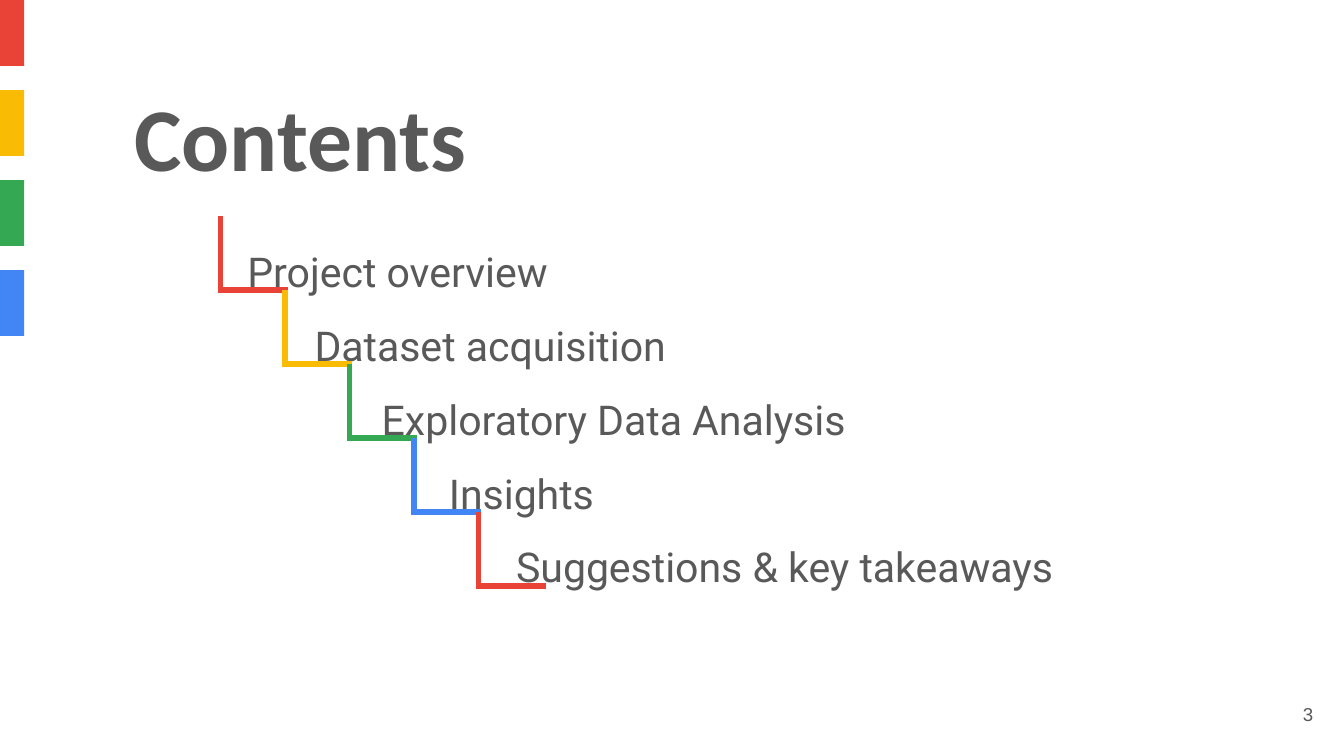
from typing import NamedTuple

from lxml import etree
from pptx import Presentation
from pptx.dml.color import RGBColor
from pptx.enum.shapes import MSO_CONNECTOR, MSO_SHAPE
from pptx.enum.text import MSO_ANCHOR, MSO_AUTO_SIZE, PP_ALIGN
from pptx.oxml.ns import qn
from pptx.util import Inches, Pt

LINE = MSO_CONNECTOR.STRAIGHT
RECT = MSO_SHAPE.RECTANGLE
LEFT, RIGHT = PP_ALIGN.LEFT, PP_ALIGN.RIGHT
TOP, MIDDLE = MSO_ANCHOR.TOP, MSO_ANCHOR.MIDDLE
NO_FIT = MSO_AUTO_SIZE.NONE

RED, YELLOW, GREEN, BLUE = "E94236", "FABB05", "34A853", "4285F4"
GRAY = "595959"


class Topic(NamedTuple):
    text: str
    color: str


TOPICS = [
    Topic("Project overview", RED),
    Topic("Dataset acquisition", YELLOW),
    Topic("Exploratory Data Analysis", GREEN),
    Topic("Insights", BLUE),
    Topic("Suggestions & key takeaways", RED),
]


def rgb(color: str) -> RGBColor:
    return RGBColor.from_string(color)


def set_box(shape, left: float, top: float, width: float, height: float, anchor) -> None:
    shape.left, shape.top = Inches(left), Inches(top)
    shape.width, shape.height = Inches(width), Inches(height)
    frame = shape.text_frame
    frame.word_wrap = True
    frame.auto_size = NO_FIT
    frame.vertical_anchor = anchor
    frame.margin_left = frame.margin_right = Inches(0.1)
    frame.margin_top = frame.margin_bottom = Inches(0.1)


def set_text(para, text: str, face: str, size: float, align, bold: bool = False) -> None:
    para.text = text
    para.alignment = align
    para.space_before = Pt(0)
    font = para.font
    font.name, font.size, font.bold = face, Pt(size), bold
    font.color.rgb = rgb(GRAY)


def add_bar(slide, top: float, color: str) -> None:
    bar = slide.shapes.add_shape(RECT, 0, Inches(top), Inches(0.18), Inches(0.49))
    bar.shadow.inherit = False
    bar.fill.solid()
    bar.fill.fore_color.rgb = rgb(color)
    bar.line.fill.background()


def add_line(group, x1: float, y1: float, x2: float, y2: float, color: str) -> None:
    line = group.shapes.add_connector(LINE, Inches(x1), Inches(y1), Inches(x2), Inches(y2))
    line.line.color.rgb = rgb(color)
    line.line.width = Pt(3)
    etree.SubElement(line._element.spPr, qn("a:effectLst"))


def add_step(group, left: float, top: float, color: str) -> None:
    base = top + 0.55
    add_line(group, left, top, left, base, color)
    add_line(group, left - 0.02, base, left + 0.5, base, color)


def main() -> None:
    # Widescreen page, 16 to 9
    deck = Presentation()
    deck.slide_width = Inches(10)
    deck.slide_height = Inches(10 * 9 / 16)
    slide = deck.slides.add_slide(deck.slide_layouts[1])
    title, body = slide.placeholders

    # Colour bars on the left edge
    for i, color in enumerate([RED, YELLOW, GREEN, BLUE]):
        add_bar(slide, 0.67 * i, color)

    # Title
    set_box(title, 0.9, 0.51, 8.76, 0.65, TOP)
    set_text(title.text_frame.paragraphs[0], "Contents", "Calibri", 48, LEFT, True)

    # Topics, each indented half an inch further
    set_box(body, 1.24, 1.55, 7.67, 3.44, TOP)
    frame = body.text_frame
    for i, topic in enumerate(TOPICS):
        para = frame.add_paragraph() if i else frame.paragraphs[0]
        props = para._p.get_or_add_pPr()
        props.set("marL", str(Inches(0.5 * (i + 1))))
        props.set("indent", "0")
        etree.SubElement(props, qn("a:buNone"))
        set_text(para, topic.text, "Roboto", 22, LEFT)
        para.line_spacing = 1.5

    # Staircase
    stairs = slide.shapes.add_group_shape()
    for i, topic in enumerate(TOPICS):
        add_step(stairs, 1.64 + 0.48 * i, 1.61 + 0.55 * i, topic.color)

    # Page number
    page = slide.shapes.add_textbox(0, 0, 0, 0)
    set_box(page, 9.27, 5.1, 0.6, 0.43, MIDDLE)
    set_text(page.text_frame.paragraphs[0], "3", "Arial", 10, RIGHT)

    deck.save("out.pptx")


if __name__ == "__main__":
    main()
